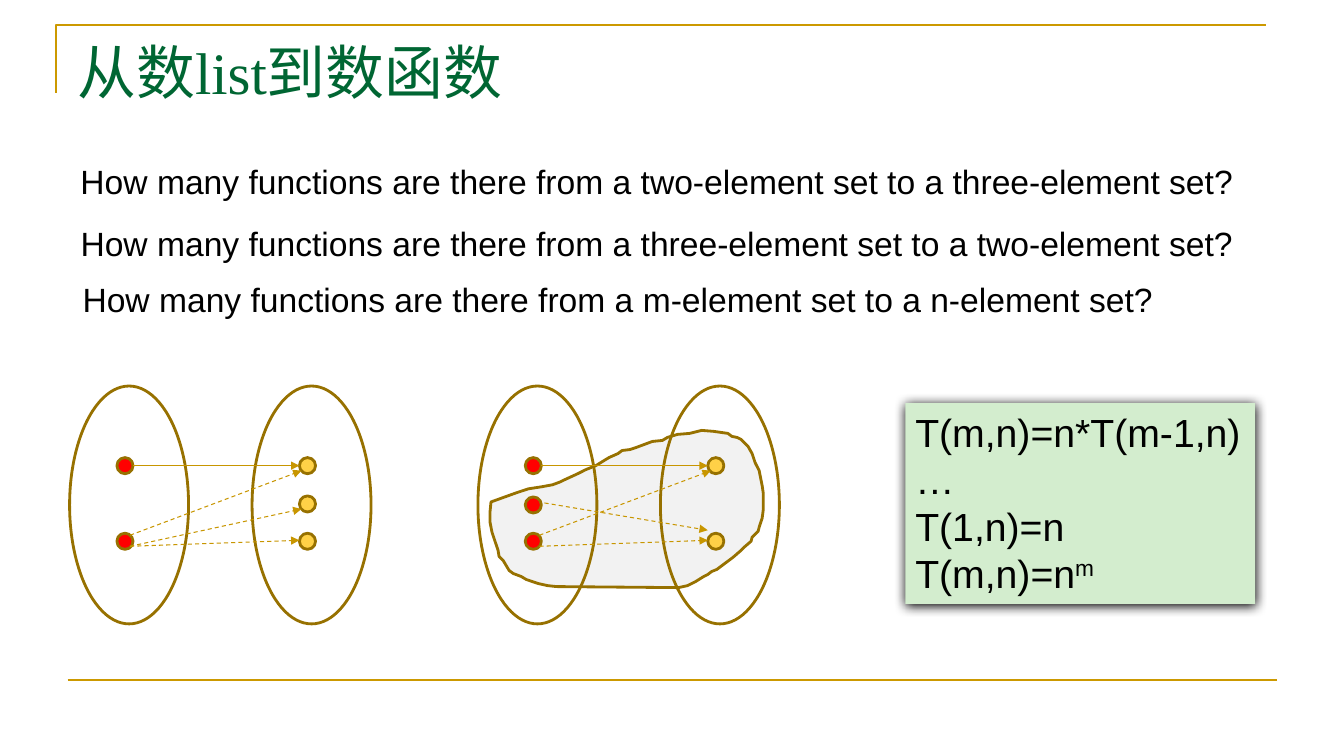
from lxml import etree
from pptx import Presentation
from pptx.dml.color import RGBColor
from pptx.enum.dml import MSO_LINE
from pptx.enum.shapes import MSO_CONNECTOR, MSO_SHAPE
from pptx.enum.text import MSO_ANCHOR, PP_ALIGN
from pptx.oxml.ns import qn
from pptx.util import Inches, Pt

# Content
TITLE = "从数list到数函数"
QUESTIONS = [  # text, left, top, width
    ("How many functions are there from a two-element set to a three-element set?", 0.7, 1.55, 12.04),
    ("How many functions are there from a three-element set to a two-element set?", 0.7, 2.16, 11.75),
    ("How many functions are there from a m-element set to a n-element set?", 0.72, 2.72, 11.02),
]
# Each formula line is a list of (text, superscript)
FORMULAS = [
    [("T(m,n)=n*T(m-1,n)", False)],
    [("…", False)],
    [("T(1,n)=n", False)],
    [("T(m,n)=n", False), ("m", True)],
]
# Arrows are (x1, y1, x2, y2, dashed), x measured from the left of the domain
MAPPINGS = [
    {"left": 0.69, "domain": [4.54, 5.29], "range": [4.54, 4.92, 5.29],
     "arrows": [(0.63, 4.62, 2.28, 4.62, False), (0.6, 5.31, 2.3, 4.67, True),
                (0.6, 5.42, 2.3, 5.05, True), (0.6, 5.42, 2.28, 5.36, True)]},
    {"left": 4.74, "domain": [4.54, 4.93, 5.29], "range": [4.54, 5.29],
     "arrows": [(0.63, 4.62, 2.28, 4.62, False), (0.61, 5.31, 2.31, 4.67, True),
                (0.61, 5.42, 2.28, 5.36, True), (0.66, 4.99, 2.28, 5.26, True)]},
]
SUBPROBLEM = [
    (4.87, 4.98), (5.12, 4.89), (5.24, 4.85), (5.37, 4.83), (5.48, 4.81), (5.56, 4.78),
    (5.6, 4.76), (5.73, 4.7), (5.81, 4.66), (5.91, 4.62), (6.04, 4.54), (6.13, 4.5),
    (6.17, 4.47), (6.25, 4.46), (6.31, 4.44), (6.47, 4.38), (6.57, 4.37), (6.62, 4.34),
    (6.72, 4.31), (6.84, 4.3), (6.96, 4.27), (7.08, 4.28), (7.22, 4.3), (7.26, 4.33),
    (7.31, 4.34), (7.35, 4.36), (7.42, 4.43), (7.46, 4.5), (7.49, 4.59), (7.53, 4.67),
    (7.56, 4.82), (7.57, 4.89), (7.57, 5.06), (7.56, 5.14), (7.53, 5.23), (7.52, 5.27),
    (7.46, 5.33), (7.45, 5.37), (7.38, 5.43), (7.34, 5.47), (7.27, 5.53), (7.19, 5.59),
    (7.11, 5.65), (7.06, 5.67), (7.02, 5.7), (6.98, 5.72), (6.9, 5.77), (6.82, 5.81),
    (6.73, 5.83), (5.52, 5.82), (5.43, 5.81), (5.34, 5.79), (5.22, 5.75), (5.17, 5.72),
    (5.09, 5.69), (5.05, 5.66), (5.02, 5.61), (4.99, 5.56), (4.95, 5.52), (4.94, 5.46),
    (4.91, 5.37), (4.88, 5.28), (4.86, 5.18), (4.86, 5.08),
]
GOLD, BROWN, ARROW = "CC9900", "977100", "C89600"
RED, YELLOW = "FF0000", "FFD147"
SET_TOP, SET_W, SET_H, SET_GAP = 3.83, 1.18, 2.36, 1.81
DOT, DOT_INSET = 0.16, 0.47

prs = Presentation()
prs.slide_width, prs.slide_height = Inches(13.33), Inches(7.5)
s = prs.slides.add_slide(prs.slide_layouts[6])


def color(hex_value):
    return RGBColor.from_string(hex_value)


def style(sp, fill=None, line=None, width=2):
    sp.shadow.inherit = False
    if fill:
        sp.fill.solid()
        sp.fill.fore_color.rgb = color(fill)
    else:
        sp.fill.background()
    if line:
        sp.line.color.rgb = color(line)
        sp.line.width = Pt(width)
    else:
        sp.line.fill.background()
    return sp


def add_preset(kind, x, y, w, h, **fmt):
    return style(s.shapes.add_shape(kind, Inches(x), Inches(y), Inches(w), Inches(h)), **fmt)


def add_outline(points, close, **fmt):
    start, *rest = [(Inches(x), Inches(y)) for x, y in points]
    fb = s.shapes.build_freeform(*start)
    fb.add_line_segments(rest, close=close)
    return style(fb.convert_to_shape(), **fmt)


def add_line(x1, y1, x2, y2, line, width, dashed=False, arrow=False):
    c = s.shapes.add_connector(MSO_CONNECTOR.STRAIGHT, Inches(x1), Inches(y1), Inches(x2), Inches(y2))
    c.line.color.rgb = color(line)
    c.line.width = Pt(width)
    if dashed:
        c.line.dash_style = MSO_LINE.DASH
    if arrow:
        etree.SubElement(c.line._get_or_add_ln(), qn("a:tailEnd"), type="triangle")
    etree.SubElement(c._element.spPr, qn("a:effectLst"))


def write(sp, lines, size, font="Arial", ink="000000", wrap=True):
    tf = sp.text_frame
    tf.word_wrap = wrap
    tf.vertical_anchor = MSO_ANCHOR.TOP
    for i, runs in enumerate(lines):
        p = tf.add_paragraph() if i else tf.paragraphs[0]
        p.alignment = PP_ALIGN.LEFT
        for text, superscript in runs:
            r = p.add_run()
            r.text = text
            r.font.size, r.font.name = Pt(size), font
            r.font.color.rgb = color(ink)
            if superscript:
                r._r.get_or_add_rPr().set("baseline", "30000")


def add_text(text, x, y, w, h, **fmt):
    write(s.shapes.add_textbox(Inches(x), Inches(y), Inches(w), Inches(h)), [[(text, False)]], **fmt)


# Frame lines
add_outline([(0.56, 0.92), (0.56, 0.25), (12.56, 0.25)], False, line=GOLD, width=1.5)
add_line(0.67, 6.75, 12.67, 6.75, GOLD, 1.5)

# Title and questions
add_text(TITLE, 0.67, 0.3, 12, 1.25, size=42, font="Times New Roman", ink="006633")
for text, x, y, w in QUESTIONS:
    add_text(text, x, y, w, 0.5, size=24)

# Mapping diagrams, with the subproblem region behind the second one
add_outline(SUBPROBLEM, True, fill="F2F2F2", line=BROWN)
for mapping in MAPPINGS:
    left = mapping["left"]
    for x, dots, fill in ((left, mapping["domain"], RED), (left + SET_GAP, mapping["range"], YELLOW)):
        add_preset(MSO_SHAPE.OVAL, x, SET_TOP, SET_W, SET_H, line=BROWN)
        for y in dots:
            add_preset(MSO_SHAPE.OVAL, x + DOT_INSET, y, DOT, DOT, fill=fill, line=BROWN)
    for x1, y1, x2, y2, dashed in mapping["arrows"]:
        add_line(left + x1, y1, left + x2, y2, ARROW, 0.75, dashed, arrow=True)

# Formula box with shadow
box = add_preset(MSO_SHAPE.RECTANGLE, 8.98, 4, 3.47, 1.99, fill="D3EDCE")
shadow = etree.SubElement(box._element.spPr.find(qn("a:effectLst")), qn("a:outerShdw"),
                          blurRad=str(Pt(8.5)), dist=str(Pt(1)), dir="5400000", rotWithShape="0")
etree.SubElement(shadow, qn("a:srgbClr"), val="000000")
write(box, FORMULAS, size=28, wrap=False)

prs.save("out.pptx")
